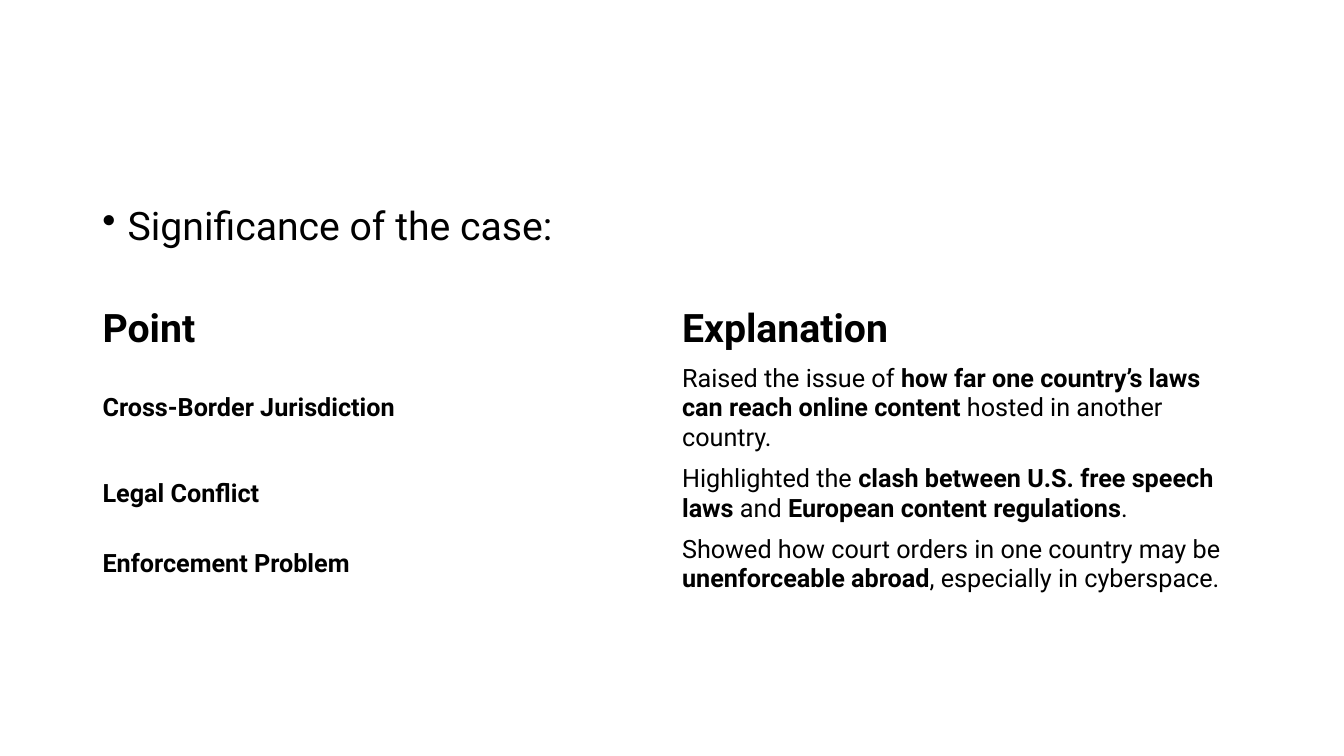
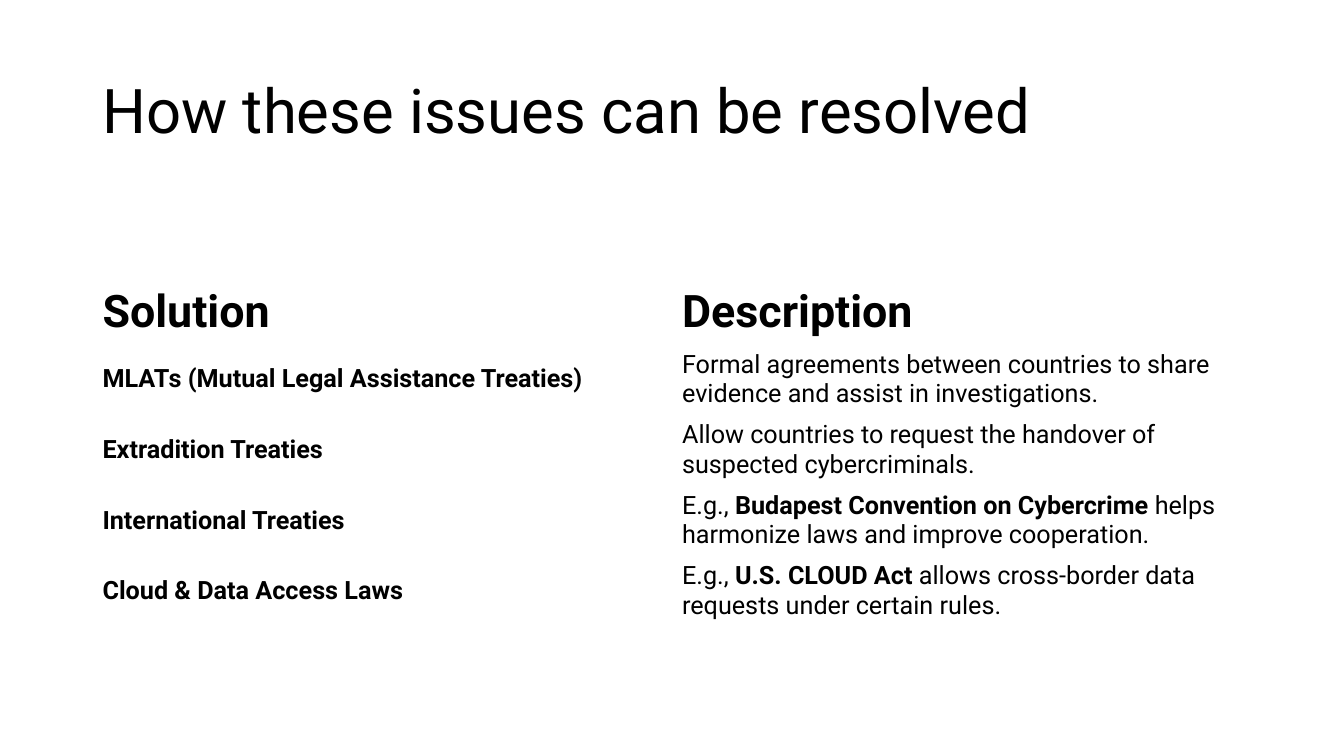
from dataclasses import dataclass

from lxml.etree import SubElement
from pptx import Presentation
from pptx.dml.color import RGBColor
from pptx.enum.text import MSO_ANCHOR as Anchor
from pptx.oxml.ns import qn
from pptx.slide import Slide
from pptx.text.text import _Paragraph as Paragraph
from pptx.util import Cm, Pt

FONT = "Roboto"
BLACK = RGBColor(0x00, 0x00, 0x00)
WHITE = RGBColor(0xFF, 0xFF, 0xFF)
LEFT, WIDTH = Cm(2.33), Cm(29.21)
BULLET_INDENT = Cm(0.64)
BODY_SIZE = 18
LINE_HEIGHT = 1.17
CELL_PADDING = Cm(0.25)  # top and bottom margins together


@dataclass(frozen=True)
class Row:
    term: str
    text: str  # **marks** bold words
    lines: int = 2


@dataclass(frozen=True)
class TwoColumnTable:
    top: Cm
    header_size: int
    header: Row
    rows: tuple[Row, ...]


SIGNIFICANCE = TwoColumnTable(Cm(7.57), 28, Row("Point", "**Explanation**", 1), (
    Row("Cross-Border Jurisdiction",
        "Raised the issue of **how far one country’s laws can reach online content** "
        "hosted in another country.", 3),
    Row("Legal Conflict",
        "Highlighted the **clash between U.S. free speech laws** and "
        "**European content regulations**."),
    Row("Enforcement Problem",
        "Showed how court orders in one country may be **unenforceable abroad**, "
        "especially in cyberspace."),
))

SOLUTIONS = TwoColumnTable(Cm(7.06), 32, Row("Solution", "**Description**", 1), (
    Row("MLATs (Mutual Legal Assistance Treaties)",
        "Formal agreements between countries to share evidence and assist in "
        "investigations."),
    Row("Extradition Treaties",
        "Allow countries to request the handover of suspected cybercriminals."),
    Row("International Treaties",
        "E.g., **Budapest Convention on Cybercrime** helps harmonize laws and improve "
        "cooperation."),
    Row("Cloud & Data Access Laws",
        "E.g., **U.S. CLOUD Act** allows cross-border data requests under certain rules."),
))


def write(paragraph: Paragraph, text: str, size: int) -> None:
    """Fill the paragraph, setting the words between ** marks in bold."""
    font = paragraph.font
    font.name, font.size, font.color.rgb = FONT, Pt(size), BLACK
    for index, part in enumerate(text.split("**")):
        if part:
            run = paragraph.add_run()
            run.text = part
            run.font.bold = index % 2 == 1


def add_text(slide: Slide, text: str, size: int, top: Cm, height: Cm,
             anchor: Anchor) -> Paragraph:
    frame = slide.shapes.add_textbox(LEFT, top, WIDTH, height).text_frame
    frame.word_wrap = True
    frame.vertical_anchor = anchor
    paragraph = frame.paragraphs[0]
    paragraph.line_spacing = 0.9
    write(paragraph, text, size)
    return paragraph


def add_title(slide: Slide, text: str) -> None:
    add_text(slide, text, 44, Cm(1.01), Cm(3.68), Anchor.MIDDLE)


def add_bullet(slide: Slide, text: str) -> None:
    paragraph = add_text(slide, text, 28, Cm(5.07), Cm(12.09), Anchor.TOP)
    paragraph.space_before = Pt(10)
    properties = paragraph._p.get_or_add_pPr()
    properties.set("marL", str(BULLET_INDENT))
    properties.set("indent", str(-BULLET_INDENT))
    bullet = SubElement(properties, qn("a:buChar"))
    bullet.set("char", "•")
    default_font = properties.find(qn("a:defRPr"))
    properties.append(default_font)  # the schema puts the bullet first


def add_table(slide: Slide, content: TwoColumnTable) -> None:
    rows = (content.header, *content.rows)
    sizes = [content.header_size] + [BODY_SIZE] * len(content.rows)
    heights = [Pt(row.lines * size * LINE_HEIGHT) + CELL_PADDING
               for row, size in zip(rows, sizes)]
    table = slide.shapes.add_table(len(rows), 2, LEFT, content.top, WIDTH,
                                   sum(heights)).table
    table.first_row = table.horz_banding = False
    for table_row, row, size, height in zip(table.rows, rows, sizes, heights):
        table_row.height = height
        for cell, text in zip(table_row.cells, (f"**{row.term}**", row.text)):
            cell.fill.background()
            cell.vertical_anchor = Anchor.MIDDLE
            write(cell.text_frame.paragraphs[0], text, size)


def add_slide(presentation: Presentation) -> Slide:
    slide = presentation.slides.add_slide(presentation.slide_layouts[6])
    slide.background.fill.solid()
    slide.background.fill.fore_color.rgb = WHITE
    return slide


def main() -> None:
    presentation = Presentation()
    presentation.slide_width, presentation.slide_height = Cm(33.87), Cm(19.05)

    significance = add_slide(presentation)
    add_bullet(significance, "Significance of the case:")
    add_table(significance, SIGNIFICANCE)

    solutions = add_slide(presentation)
    add_title(solutions, "How these issues can be resolved")
    add_table(solutions, SOLUTIONS)

    presentation.save("out.pptx")


if __name__ == "__main__":
    main()
